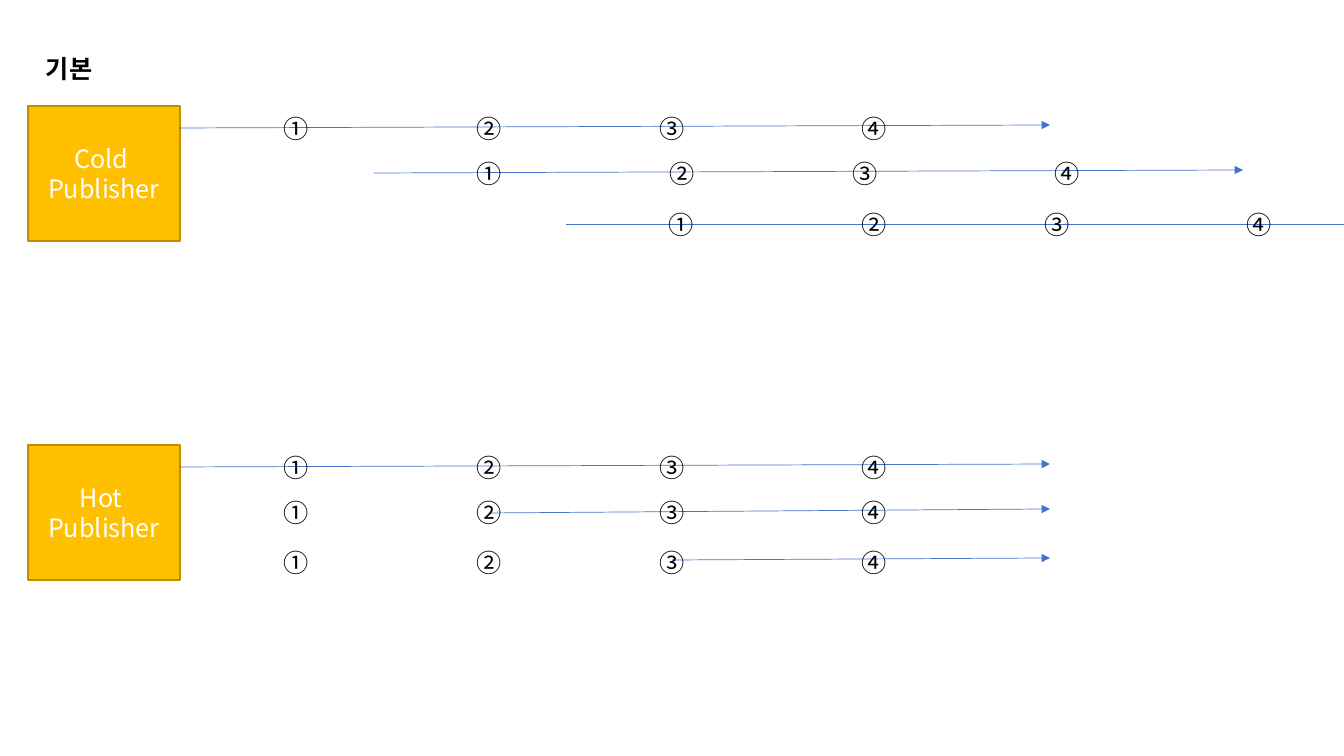
from dataclasses import dataclass

from lxml.etree import SubElement
from pptx import Presentation
from pptx.dml.color import RGBColor
from pptx.enum.shapes import MSO_CONNECTOR, MSO_SHAPE
from pptx.enum.text import MSO_ANCHOR, MSO_AUTO_SIZE, PP_ALIGN
from pptx.oxml.ns import qn
from pptx.shapes.autoshape import Shape
from pptx.slide import Slide
from pptx.util import Emu, Pt

SLIDE_WIDTH, SLIDE_HEIGHT = 1344, 756
EMU_PER_PX = 12192000 / SLIDE_WIDTH
PUBLISHER_LEFT, PUBLISHER_WIDTH, PUBLISHER_HEIGHT = 28, 152, 135
MARKER_WIDTH, MARKER_HEIGHT = 51, 40
MARKER_OFFSETS = {"①": 0, "②": 193, "③": 376, "④": 578}


@dataclass(frozen=True)
class Theme:
    font: str = "Noto Sans CJK KR"
    size: Pt = Pt(18)
    text: RGBColor = RGBColor(0x00, 0x00, 0x00)
    publisher_text: RGBColor = RGBColor(0xFF, 0xFF, 0xFF)
    publisher_fill: RGBColor = RGBColor(0xFF, 0xC0, 0x00)
    publisher_border: RGBColor = RGBColor(0xBD, 0x8E, 0x00)
    arrow: RGBColor = RGBColor(0x44, 0x72, 0xC4)


THEME = Theme()


@dataclass(frozen=True)
class Subscription:
    """One row of markers and the arrow of items its subscriber receives."""
    markers_left: int
    markers_top: int
    start: tuple[int, int]
    end: tuple[int, int]


@dataclass(frozen=True)
class Publisher:
    label: str
    top: int
    subscriptions: tuple[Subscription, ...]


PUBLISHERS = (
    Publisher("Cold \nPublisher", 106, (
        Subscription(271, 108, (180, 128), (1050, 125)),
        Subscription(464, 153, (374, 173), (1243, 170)),
        Subscription(656, 204, (566, 224), (1411, 224)),
    )),
    Publisher("Hot \nPublisher", 445, (
        Subscription(271, 447, (180, 467), (1050, 464)),
        Subscription(271, 492, (489, 513), (1050, 509)),
        Subscription(271, 542, (672, 560), (1050, 558)),
    )),
)


def px(length: int) -> Emu:
    return Emu(round(length * EMU_PER_PX))


def write_text(shape: Shape, text: str, *, color: RGBColor = THEME.text,
               bold: bool = False, align: PP_ALIGN = PP_ALIGN.CENTER,
               anchor: MSO_ANCHOR = MSO_ANCHOR.TOP) -> None:
    frame = shape.text_frame
    frame.word_wrap = True
    frame.vertical_anchor = anchor
    frame.text = text
    for paragraph in frame.paragraphs:
        paragraph.alignment = align
        for run in paragraph.runs:
            run.font.name = THEME.font
            run.font.size = THEME.size
            run.font.bold = bold
            run.font.color.rgb = color
            east_asian = SubElement(run.font._element, qn("a:ea"))
            east_asian.set("typeface", THEME.font)


def add_label(slide: Slide, left: int, top: int, width: int, text: str,
              *, bold: bool = False, align: PP_ALIGN = PP_ALIGN.CENTER) -> None:
    label = slide.shapes.add_textbox(px(left), px(top), px(width), px(MARKER_HEIGHT))
    write_text(label, text, bold=bold, align=align)
    label.text_frame.auto_size = MSO_AUTO_SIZE.SHAPE_TO_FIT_TEXT


def add_arrow(slide: Slide, start: tuple[int, int], end: tuple[int, int]) -> None:
    arrow = slide.shapes.add_connector(
        MSO_CONNECTOR.STRAIGHT, *map(px, start), *map(px, end))
    arrow.line.color.rgb = THEME.arrow
    arrow.line.width = Pt(0.5)
    SubElement(arrow.line._get_or_add_ln(), qn("a:tailEnd")).set("type", "triangle")
    SubElement(arrow._element.spPr, qn("a:effectLst"))


def add_subscription(slide: Slide, subscription: Subscription) -> None:
    add_arrow(slide, subscription.start, subscription.end)
    for number, offset in MARKER_OFFSETS.items():
        add_label(slide, subscription.markers_left + offset,
                  subscription.markers_top, MARKER_WIDTH, number)


def add_publisher(slide: Slide, publisher: Publisher) -> None:
    box = slide.shapes.add_shape(
        MSO_SHAPE.RECTANGLE, px(PUBLISHER_LEFT), px(publisher.top),
        px(PUBLISHER_WIDTH), px(PUBLISHER_HEIGHT))
    box.shadow.inherit = False
    box.fill.solid()
    box.fill.fore_color.rgb = THEME.publisher_fill
    box.line.color.rgb = THEME.publisher_border
    box.line.width = Pt(1)
    write_text(box, publisher.label, color=THEME.publisher_text,
               anchor=MSO_ANCHOR.MIDDLE)
    for subscription in publisher.subscriptions:
        add_subscription(slide, subscription)


def main() -> None:
    presentation = Presentation()
    presentation.slide_width = px(SLIDE_WIDTH)
    presentation.slide_height = px(SLIDE_HEIGHT)
    slide = presentation.slides.add_slide(presentation.slide_layouts[6])
    for publisher in PUBLISHERS:
        add_publisher(slide, publisher)
    add_label(slide, 36, 48, 220, "기본", bold=True, align=PP_ALIGN.LEFT)
    presentation.save("out.pptx")


if __name__ == "__main__":
    main()
